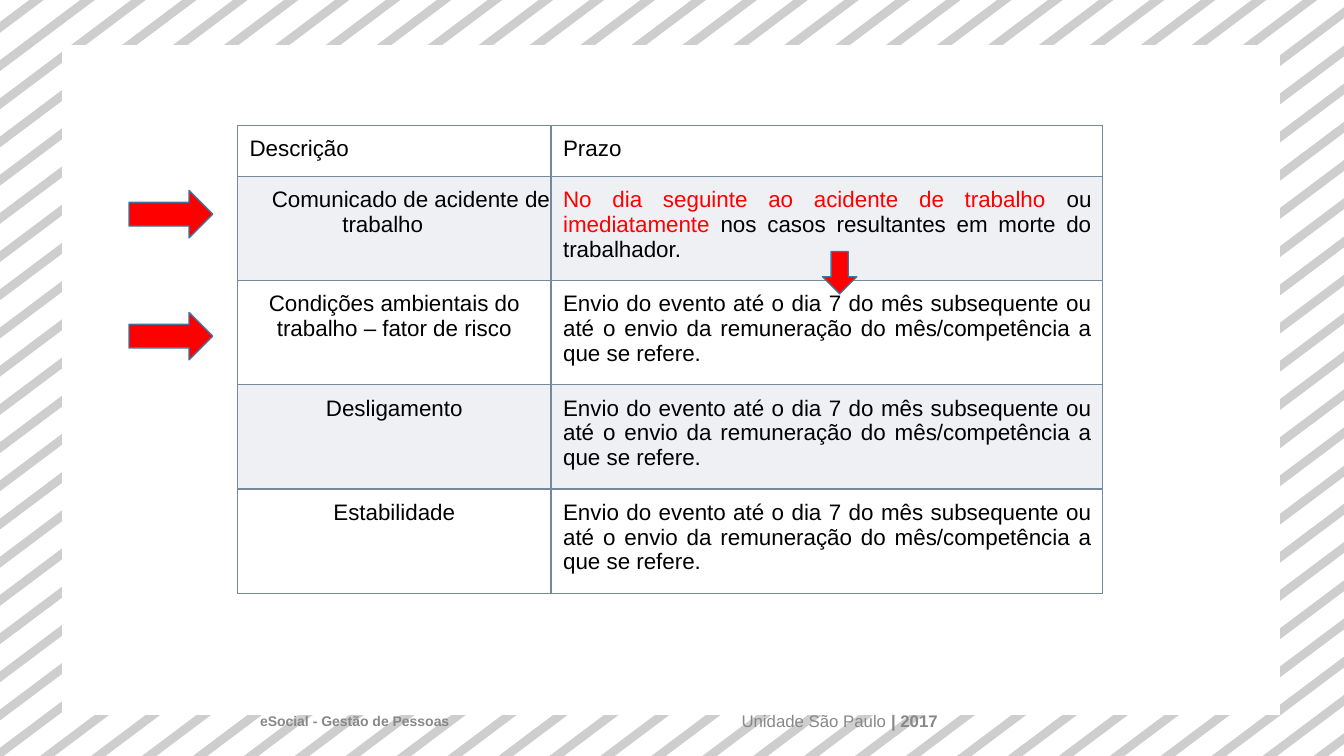
from dataclasses import dataclass

from lxml.etree import SubElement
from pptx import Presentation
from pptx.dml.color import RGBColor as RGB
from pptx.enum.shapes import MSO_SHAPE as Preset
from pptx.enum.text import MSO_ANCHOR as Anchor, PP_ALIGN as Align
from pptx.oxml import parse_xml
from pptx.oxml.ns import nsdecls, qn
from pptx.util import Inches, Pt


@dataclass(frozen=True)
class Theme:
    font: str = "Arial"
    body: int = 16
    footer: int = 12
    course: int = 10
    ink: str = "000000"
    alert: str = "FF0000"
    muted: str = "888888"
    stripe: str = "CECECE"
    paper: str = "FFFFFF"
    band: str = "ABB8C3"
    border: str = "748A9C"
    arrow_edge: str = "43739E"


theme = Theme()
deck = Presentation()
deck.slide_width, deck.slide_height = Inches(13.33), Inches(7.5)
slide = deck.slides.add_slide(deck.slide_layouts[6])
shapes = slide.shapes


def share(*percents):
    sides = (deck.slide_width, deck.slide_height)
    return [round(sides[i % 2] * p / 100) for i, p in enumerate(percents)]


def add_runs(paragraph, pieces, size):
    for text, color, bold in pieces:
        run = paragraph.add_run()
        run.text = text
        run.font.name, run.font.size, run.font.bold = theme.font, Pt(size), bold
        run.font.color.rgb = RGB.from_string(color)


slant, pitch, thickness = 0.75, 3.79, 1.08
outlines = []
for k in range(46):
    near = 2.18 + k * pitch
    edges = []
    for reach in (near, near + thickness):
        upper = (reach, 0) if reach <= 100 else (100, (reach - 100) / slant)
        lower = (0, reach / slant) if reach <= 100 * slant else (reach - 100 * slant, 100)
        edges.append((upper, lower))
    (near_top, near_bottom), (far_top, far_bottom) = edges
    corner = [(0, 100)] if near_bottom[0] == 0 and far_bottom[0] > 0 else []
    outlines.append((theme.stripe, [far_top, near_top, near_bottom, *corner, far_bottom]))
outlines.append((theme.paper, [(4.61, 5.95), (95.27, 5.95), (95.27, 94.53), (4.61, 94.53)]))

for color, corners in outlines:
    points = [share(*corner) for corner in corners]
    builder = shapes.build_freeform(*points[0])
    builder.add_line_segments(points[1:], close=True)
    area = builder.convert_to_shape()
    area.shadow.inherit = False
    area.fill.solid()
    area.fill.fore_color.rgb = RGB.from_string(color)
    area.line.fill.background()

monthly = [("Envio do evento até o dia 7 do mês subsequente ou até o envio da "
            "remuneração do mês/competência a que se refere.", theme.ink, False)]
accident = [
    ("No dia seguinte ao acidente de trabalho ", theme.alert, False),
    ("ou ", theme.ink, False),
    ("imediatamente", theme.alert, False),
    (" nos casos resultantes em morte do trabalhador.", theme.ink, False),
]
deadlines = [
    (["Descrição"], [("Prazo", theme.ink, False)]),
    (["Comunicado de acidente de trabalho"], accident),
    (["Condições ambientais do", "trabalho – fator de risco"], monthly),
    (["Desligamento"], monthly),
    (["Estabilidade"], monthly),
]
column_shares, row_shares = (23.33, 41.03), (6.75, 13.78, 13.78, 13.78, 13.78)
frame = share(17.67, 16.6, sum(column_shares), sum(row_shares))
schedule = shapes.add_table(len(deadlines), len(column_shares), *frame).table
schedule.first_row = schedule.horz_banding = False
for column, width in zip(schedule.columns, column_shares):
    column.width = share(width)[0]
for row, height in zip(schedule.rows, row_shares):
    row.height = share(0, height)[1]

for r, (description, deadline) in enumerate(deadlines):
    contents = [[[(line, theme.ink, False)] for line in description], [deadline]]
    for c, lines in enumerate(contents):
        cell = schedule.cell(r, c)
        is_label = c == 0 and r > 0
        cell.margin_left = 0 if is_label else Inches(0.12)
        cell.margin_right = 0 if is_label else Inches(0.11)
        cell.margin_top, cell.margin_bottom = Inches(0.11), 0
        for i, pieces in enumerate(lines):
            paragraph = cell.text_frame.add_paragraph() if i else cell.text_frame.paragraphs[0]
            paragraph.alignment = Align.CENTER if is_label else Align.JUSTIFY if r else Align.LEFT
            if is_label and r == 1:
                paragraph.alignment = Align.LEFT
                hanging = paragraph._p.get_or_add_pPr()
                hanging.set("marL", str(Inches(1.04)))
                hanging.set("indent", str(Inches(-0.7)))
            add_runs(paragraph, pieces, theme.body)
        cell.fill.background()
        properties = cell._tc.get_or_add_tcPr()
        if r % 2:
            cell.fill.solid()
            cell.fill.fore_color.rgb = RGB.from_string(theme.band)
            SubElement(properties.find(".//" + qn("a:srgbClr")), qn("a:alpha"), val="20000")
        for i, side in enumerate(("lnL", "lnR", "lnT", "lnB")):
            properties.insert(i, parse_xml(
                f'<a:{side} {nsdecls("a")} w="{Pt(1)}"><a:solidFill>'
                f'<a:srgbClr val="{theme.border}"/></a:solidFill></a:{side}>'))

footers = [
    ((45.6, 94, 33.75, 2.67), Align.CENTER, theme.footer,
     [("Unidade São Paulo ", theme.muted, False), ("| 2017", theme.muted, True)]),
    ((19.35, 94.27, 22.5, 2.27), Align.LEFT, theme.course,
     [("eSocial - Gestão de Pessoas", theme.muted, True)]),
]
for place, alignment, size, pieces in footers:
    footer = shapes.add_textbox(*share(*place)).text_frame
    footer.word_wrap, footer.vertical_anchor = True, Anchor.MIDDLE
    footer.margin_left = footer.margin_right = footer.margin_top = footer.margin_bottom = 0
    footer.paragraphs[0].alignment = alignment
    add_runs(footer.paragraphs[0], pieces, size)

highlights = [
    (Preset.RIGHT_ARROW, (9.6, 25.2, 6.23, 6.27)),
    (Preset.RIGHT_ARROW, (9.6, 41.33, 6.23, 6.27)),
    (Preset.DOWN_ARROW, (61.2, 33.27, 2.55, 5.6)),
]
for preset, place in highlights:
    arrow = shapes.add_shape(preset, *share(*place))
    arrow.shadow.inherit = False
    arrow.fill.solid()
    arrow.fill.fore_color.rgb = RGB.from_string(theme.alert)
    arrow.line.color.rgb = RGB.from_string(theme.arrow_edge)
    arrow.line.width = Pt(1)

deck.save("out.pptx")
